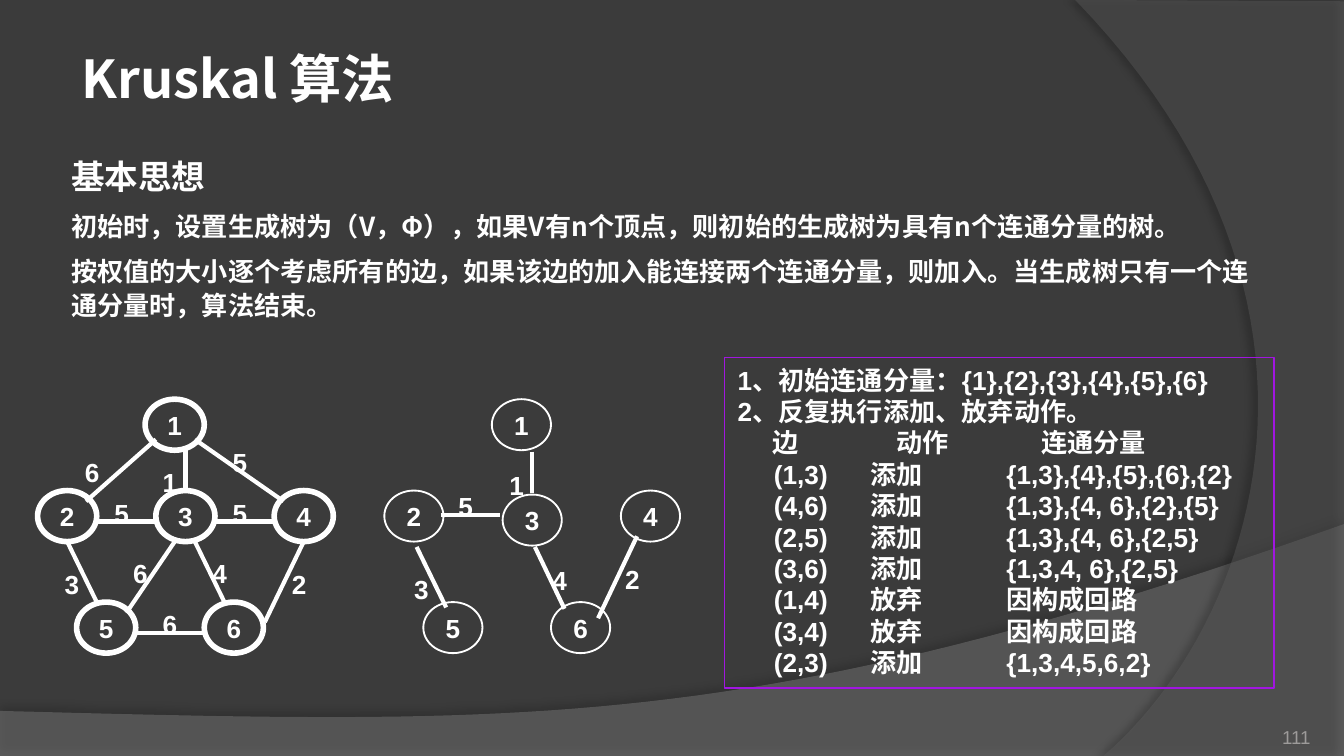
from lxml import etree
from pptx import Presentation
from pptx.dml.color import RGBColor
from pptx.enum.shapes import MSO_CONNECTOR, MSO_SHAPE
from pptx.enum.text import MSO_ANCHOR, PP_ALIGN
from pptx.oxml.ns import qn
from pptx.util import Inches, Pt

OVAL, RECTANGLE = MSO_SHAPE.OVAL, MSO_SHAPE.RECTANGLE
STRAIGHT = MSO_CONNECTOR.STRAIGHT
TOP, MIDDLE, BOTTOM = MSO_ANCHOR.TOP, MSO_ANCHOR.MIDDLE, MSO_ANCHOR.BOTTOM
LEFT, CENTER, RIGHT = PP_ALIGN.LEFT, PP_ALIGN.CENTER, PP_ALIGN.RIGHT

BACKGROUND = RGBColor(0x3B, 0x3B, 0x3B)
WAVE_GREY = RGBColor(0x7F, 0x7F, 0x7F)
ARC_GREY = RGBColor(0x5E, 0x5E, 0x5E)
PAGE_GREY = RGBColor(0x9D, 0x9B, 0x9A)
PURPLE = RGBColor(0xA1, 0x16, 0xE0)
WHITE = RGBColor(0xFF, 0xFF, 0xFF)

SANS, CJK = "Arial", "Noto Sans CJK SC"
BOLD = {"name": SANS, "size": Pt(14), "bold": True}
SLIDE_W, SLIDE_H = Inches(10), Inches(10) * 9 // 16
NODE_W, NODE_H = 0.44, 0.38
LABEL_W, LABEL_H = 0.37, 0.33

NODES = {"1": (0.8, 0), "2": (0, 0.68), "3": (0.88, 0.68),
         "4": (1.76, 0.68), "5": (0.29, 1.51), "6": (1.24, 1.51)}
TREE_NODES = {**NODES, "3": (0.88, 0.71)}

GRAPH_EDGES = [
    ("5", (0.44, 0.91), (0.88, 0.91), (0.44, 0.68)),
    ("5", (1.32, 0.91), (1.76, 0.91), (1.32, 0.68)),
    ("1", (1.1, 0.38), (1.1, 0.68), (0.8, 0.45)),
    ("3", (0.22, 1.06), (0.44, 1.51), (0.07, 1.21)),
    ("6", (0.66, 1.59), (1.02, 1.06), (0.58, 1.13)),
    ("4", (1.17, 1.06), (1.39, 1.51), (1.17, 1.13)),
    ("2", (1.69, 1.66), (1.98, 1.06), (1.76, 1.21)),
    ("6", (0.73, 1.74), (1.24, 1.74), (0.8, 1.51)),
    ("6", (0.36, 0.76), (0.88, 0.3), (0.22, 0.38)),
    ("5", (1.83, 0.76), (1.17, 0.3), (1.32, 0.3)),
]
TREE_EDGES = [
    ("1", (1.1, 0.39), (1.1, 0.7), (0.8, 0.47)),
    ("5", (0.42, 0.86), (0.86, 0.86), (0.42, 0.63)),
    ("3", (0.24, 1.1), (0.46, 1.55), (0.09, 1.25)),
    ("4", (1.12, 1.1), (1.34, 1.56), (1.12, 1.18)),
    ("2", (1.59, 1.63), (1.88, 1.02), (1.66, 1.17)),
]

IDEAS = [
    "初始时，设置生成树为（V，Φ），如果V有n个顶点，则初始的生成树为具有n个连通分量的树。",
    "按权值的大小逐个考虑所有的边，如果该边的加入能连接两个连通分量，则加入。"
    "当生成树只有一个连通分量时，算法结束。",
]
INTRO = ["1、初始连通分量：{1},{2},{3},{4},{5},{6}", "2、反复执行添加、放弃动作。"]
HEADINGS = ("边", "动作", "连通分量")
STEPS = [
    ("(1,3)", "添加", "{1,3},{4},{5},{6},{2}"),
    ("(4,6)", "添加", "{1,3},{4, 6},{2},{5}"),
    ("(2,5)", "添加", "{1,3},{4, 6},{2,5}"),
    ("(3,6)", "添加", "{1,3,4, 6},{2,5}"),
    ("(1,4)", "放弃", "因构成回路"),
    ("(3,4)", "放弃", "因构成回路"),
    ("(2,3)", "添加", "{1,3,4,5,6,2}"),
]
HEADING_TABS, STEP_TABS = (0.26, 1.18, 2.26), (0.27, 0.99, 2)


def write(paragraph, text, font, color=WHITE, layout=None, tabs=()):
    """Fill a paragraph with one formatted run."""
    if tabs:
        stops = etree.SubElement(paragraph._p.get_or_add_pPr(), qn("a:tabLst"))
        for position in tabs:
            etree.SubElement(stops, qn("a:tab"), pos=str(Inches(position)), algn="l")
    for name, value in (layout or {}).items():
        setattr(paragraph, name, value)
    run = paragraph.add_run()
    run.text = text
    for name, value in font.items():
        setattr(run.font, name, value)
    run.font.color.rgb = color
    etree.SubElement(run._r.get_or_add_rPr(), qn("a:ea"), typeface=CJK)


def add_text(shapes, box, anchor=TOP, inset=None):
    """Add a wrapping text box and return its frame."""
    frame = shapes.add_textbox(*map(Inches, box)).text_frame
    frame.word_wrap = True
    frame.vertical_anchor = anchor
    if inset is not None:
        for side in ("left", "top", "right", "bottom"):
            setattr(frame, f"margin_{side}", inset)
    return frame


def add_outline(shapes, preset, box, color, width):
    """Add an unfilled preset shape."""
    shape = shapes.add_shape(preset, *map(Inches, box))
    shape.shadow.inherit = False
    shape.fill.background()
    shape.line.color.rgb = color
    shape.line.width = Pt(width)
    return shape


def curve(start, first, second, end, steps=48):
    """Return points along a cubic curve, without its start."""
    return [tuple((1 - t) ** 3 * a + 3 * (1 - t) ** 2 * t * b
                  + 3 * (1 - t) * t ** 2 * c + t ** 3 * d
                  for a, b, c, d in zip(start, first, second, end))
            for t in (step / steps for step in range(1, steps + 1))]


def add_backdrop(slide, points, color, opacity, shadow):
    """Draw a translucent backdrop area with a soft shadow."""
    corners = [(Inches(x), Inches(y)) for x, y in points]
    builder = slide.shapes.build_freeform(*corners[0])
    builder.add_line_segments(corners[1:], close=True)
    area = builder.convert_to_shape()
    area.shadow.inherit = False
    area.fill.solid()
    area.fill.fore_color.rgb = color
    area.line.fill.background()
    properties = area._element.spPr
    tint = properties.find(qn("a:solidFill")).find(qn("a:srgbClr"))
    etree.SubElement(tint, qn("a:alpha"), val=str(opacity * 1000))
    shade, blur, distance, angle = shadow
    outer = etree.SubElement(properties.find(qn("a:effectLst")), qn("a:outerShdw"),
                             blurRad=str(Pt(blur)), dist=str(Pt(distance)),
                             dir=str(angle * 60000), algn="ctr", rotWithShape="0")
    black = etree.SubElement(outer, qn("a:srgbClr"), val="000000")
    etree.SubElement(black, qn("a:alpha"), val=str(shade * 1000))


def add_title(slide, box):
    """Place the slide title."""
    write(add_text(slide.shapes, box).paragraphs[0], "Kruskal 算法",
          {"name": CJK, "size": Pt(28), "bold": True}, layout={"line_spacing": Pt(34)})


def add_ideas(slide, box):
    """Place the heading and paragraphs of the basic idea."""
    frame = add_text(slide.shapes, box)
    write(frame.paragraphs[0], "基本思想", {"name": CJK, "size": Pt(18), "bold": True},
          layout={"line_spacing": Pt(24)})
    for idea in IDEAS:
        write(frame.add_paragraph(), idea, {**BOLD, "name": CJK},
              layout={"line_spacing": Pt(18.2), "space_before": Pt(6)})


def add_graph(slide, left, top, nodes, edges, ring):
    """Draw a weighted graph with its top left corner at the given point."""
    shapes = slide.shapes.add_group_shape().shapes
    for number, (x, y) in nodes.items():
        node = add_outline(shapes, OVAL, (left + x, top + y, NODE_W, NODE_H), WHITE, ring)
        node.text_frame.word_wrap = False
        node.text_frame.vertical_anchor = MIDDLE
        write(node.text_frame.paragraphs[0], number, BOLD, layout={"alignment": CENTER})
    for weight, (x1, y1), (x2, y2), (x, y) in edges:
        ends = (left + x1, top + y1, left + x2, top + y2)
        edge = shapes.add_connector(STRAIGHT, *map(Inches, ends))
        edge.line.color.rgb = WHITE
        edge.line.width = Pt(2.25)
        etree.SubElement(edge._element.spPr, qn("a:effectLst"))
        label = add_text(shapes, (left + x, top + y, LABEL_W, LABEL_H))
        write(label.paragraphs[0], weight, BOLD, layout={"alignment": CENTER})


def add_trace(slide, box):
    """Place the framed step-by-step trace in tabbed columns."""
    frame = add_outline(slide.shapes, RECTANGLE, box, PURPLE, 0.75).text_frame
    frame.word_wrap = True
    frame.vertical_anchor = TOP
    lines = [(text, ()) for text in INTRO]
    lines.append(("\t" + "\t".join(HEADINGS), HEADING_TABS))
    lines += [("\t" + "\t".join(step), STEP_TABS) for step in STEPS]
    for index, (text, tabs) in enumerate(lines):
        paragraph = frame.add_paragraph() if index else frame.paragraphs[0]
        write(paragraph, text, BOLD, tabs=tabs,
              layout={"alignment": LEFT, "line_spacing": Pt(16.8)})


def add_page_number(slide, box):
    """Place the page number."""
    frame = add_text(slide.shapes, box, BOTTOM, 0)
    write(frame.paragraphs[0], "111", {"name": SANS, "size": Pt(10)}, PAGE_GREY,
          {"alignment": RIGHT})


def main():
    """Build and save the slide."""
    deck = Presentation()
    deck.slide_width, deck.slide_height = SLIDE_W, SLIDE_H
    slide = deck.slides.add_slide(deck.slide_layouts[6])
    slide.background.fill.solid()
    slide.background.fill.fore_color.rgb = BACKGROUND
    bottom = SLIDE_H / Inches(1)
    wave = [(0, 5.29), (0, bottom), (10, bottom), (10, 3.9)]
    wave += curve((10, 3.9), (5.59, 5.47), (3.91, 5.39), (0, 5.29))
    add_backdrop(slide, wave, WAVE_GREY, 45, (35, 4, 3.5, 270))
    arc = [(10, 0.01), (10, bottom), (8.21, bottom)]
    arc += curve((8.21, bottom), (9.35, 4.64), (10.18, 2.25), (8, 0))
    add_backdrop(slide, arc, ARC_GREY, 40, (45, 4, 4, 180))
    add_ideas(slide, (0.43, 1.08, 9.05, 1.57))
    add_page_number(slide, (8.92, 5.27, 0.83, 0.3))
    add_title(slide, (0.51, 0.29, 5.43, 0.57))
    add_graph(slide, 0.28, 2.97, NODES, GRAPH_EDGES, 3)
    add_trace(slide, (5.39, 2.66, 4.09, 2.46))
    add_graph(slide, 2.86, 2.97, TREE_NODES, TREE_EDGES, 1)
    deck.save("out.pptx")


if __name__ == "__main__":
    main()
